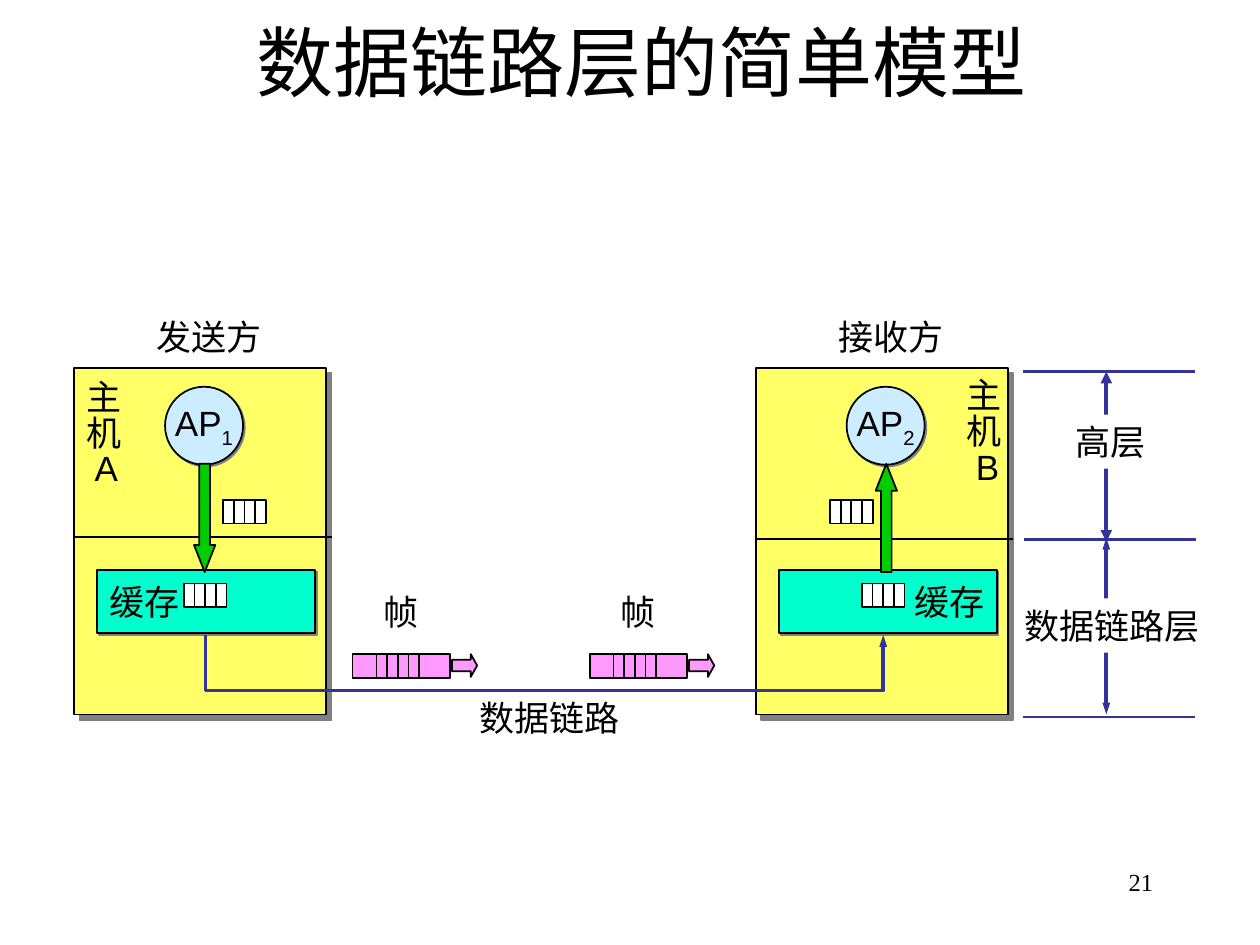
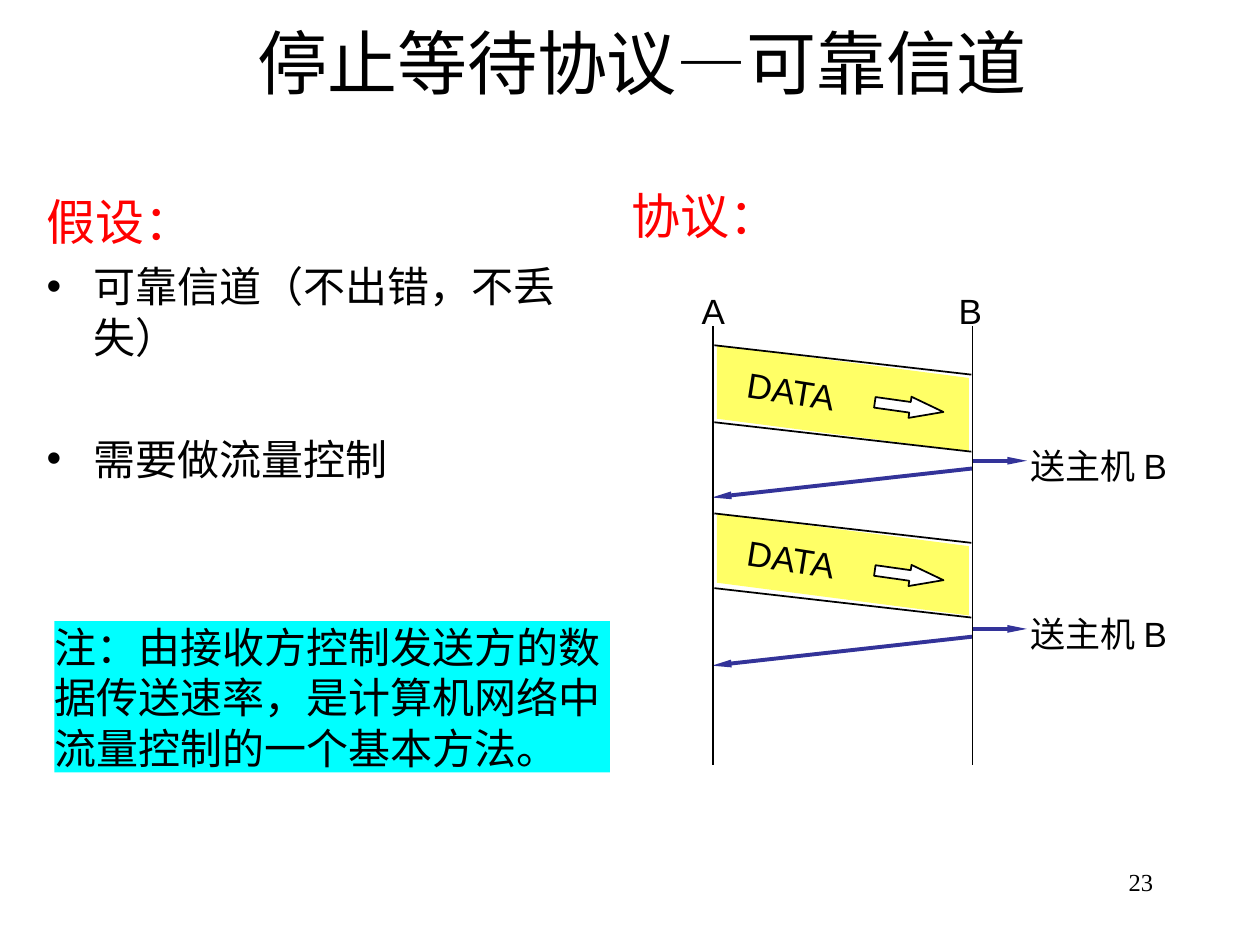
import pptx
import pptx.util
import pptx.dml.color
import pptx.enum.shapes
import pptx.enum.text
import pptx.oxml.ns
import lxml.etree

Pt = pptx.util.Pt
RGB = pptx.dml.color.RGBColor.from_string
SHAPE = pptx.enum.shapes.MSO_SHAPE
ALIGN = pptx.enum.text.PP_ALIGN
ANCHOR = pptx.enum.text.MSO_ANCHOR
FIT = pptx.enum.text.MSO_AUTO_SIZE
qn = pptx.oxml.ns.qn

COLORS = {
    "black": "000000",
    "white": "FFFFFF",
    "host": "FFFF66",
    "buffer": "00FFCC",
    "process": "CCECFF",
    "flow": "00CC00",
    "frame": "FF99FF",
    "link": "333399",
    "shadow": "808080",
    "heading": "FF0000",
    "note": "00FFFF",
}
SERIF = "Times New Roman"


def draw(shapes, kind, box, fill=None, outline=False, shadow=0, text=(), size=20,
         font="Arial", color="black", align=ALIGN.LEFT, anchor=ANCHOR.TOP,
         inset=(7.2, 3.6), wrap=False, grow=True, spacing=None):
    box = [Pt(value) for value in box]
    part = shapes.add_textbox(*box) if kind is None else shapes.add_shape(kind, *box)
    part.shadow.inherit = False
    if shadow:
        effects = part.fill._xPr.find(qn("a:effectLst"))
        outer = lxml.etree.SubElement(effects, qn("a:outerShdw"), blurRad="0",
                                      dist=str(Pt(shadow)), dir="2700000", algn="ctr", rotWithShape="0")
        lxml.etree.SubElement(outer, qn("a:srgbClr"), val=COLORS["shadow"])
    if fill:
        part.fill.solid()
        part.fill.fore_color.rgb = RGB(COLORS[fill])
    else:
        part.fill.background()
    if outline:
        part.line.color.rgb = RGB(COLORS["black"])
        part.line.width = Pt(1)
    else:
        part.line.fill.background()
    if text:
        frame = part.text_frame
        frame.margin_left = frame.margin_right = Pt(inset[0])
        frame.margin_top = frame.margin_bottom = Pt(inset[1])
        frame.word_wrap = wrap
        frame.auto_size = FIT.SHAPE_TO_FIT_TEXT if grow else FIT.NONE
        frame.vertical_anchor = anchor
        for row, words in enumerate(text):
            paragraph = frame.add_paragraph() if row else frame.paragraphs[0]
            paragraph.alignment = align
            if spacing:
                paragraph.line_spacing = spacing
            for level, piece in enumerate(words.split("_")):
                run = paragraph.add_run()
                run.text = piece
                run.font.size = Pt(size)
                run.font.name = font
                run.font.color.rgb = RGB(COLORS[color])
                if level:
                    run._r.get_or_add_rPr().set("baseline", "-25000")
    return part


def rule(shapes, x1, y1, x2, y2, color="black", width=1, ends=(), head=("med", "med")):
    line = shapes.add_connector(pptx.enum.shapes.MSO_CONNECTOR.STRAIGHT, Pt(x1), Pt(y1), Pt(x2), Pt(y2))
    line.line.color.rgb = RGB(COLORS[color])
    line.line.width = Pt(width)
    properties = line._element.spPr
    lxml.etree.SubElement(properties, qn("a:effectLst"))
    for end in ends:
        lxml.etree.SubElement(properties.find(qn("a:ln")), qn(end), type="triangle", w=head[0], len=head[1])
    return line


deck = pptx.Presentation()
deck.slide_width, deck.slide_height = Pt(720), Pt(540)

pages = []
for layout, heading, size, number in ((5, "数据链路层的简单模型", 44, "21"),
                                      (1, "停止等待协议—可靠信道", 40, "23")):
    page = deck.slides.add_slide(deck.slide_layouts[layout])
    title = page.shapes.title
    title.left, title.top, title.width, title.height = Pt(25.2), Pt(9.4), Pt(683.3), Pt(51)
    title.text_frame.auto_size = FIT.NONE
    title.text_frame.vertical_anchor = ANCHOR.MIDDLE
    paragraph = title.text_frame.paragraphs[0]
    paragraph.alignment = ALIGN.CENTER
    run = paragraph.add_run()
    run.text = heading
    run.font.size = Pt(size)
    run.font.name = SERIF
    run.font.color.rgb = RGB(COLORS["black"])
    draw(page.shapes, None, (516.2, 491.8, 149.8, 36), text=(number,), size=14, font=SERIF,
         align=ALIGN.RIGHT, wrap=True, grow=False)
    pages.append(page)

model, protocol = pages

shapes = model.shapes
rule(shapes, 632.2, 307.4, 632.2, 408.2, "link", 2.25, ("a:headEnd", "a:tailEnd"), ("sm", "med"))
rule(shapes, 632.2, 212.4, 632.2, 309.6, "link", 2.25, ("a:headEnd", "a:tailEnd"))
for layer, left, top, width in (("数据链路层", 578.2, 342, 114.5), ("高层", 607.7, 236.9, 54.7)):
    draw(shapes, None, (left, top, width, 31), "white", text=(layer,))
for left, y in ((585.4, 308.2), (584.6, 212.4), (584.6, 409.7)):
    rule(shapes, left, y, left + 98, y, "link", 1.5)

for left, letter, process, role, name_left, name_top, border, side, arrow in (
        (42.5, "A", "AP_1", "发送方", 42.5, 214.6, 306.7, ALIGN.LEFT, SHAPE.DOWN_ARROW),
        (432, "B", "AP_2", "接收方", 545, 213.8, 308.2, ALIGN.RIGHT, SHAPE.UP_ARROW)):
    draw(shapes, SHAPE.RECTANGLE, (left, 210.3, 144, 198), "host", True, 4.2)
    draw(shapes, None, (name_left, name_top, 34.6, 68.4), text=("主", "机", " " + letter), spacing=0.85)
    rule(shapes, left, border, left + 147, border)
    draw(shapes, None, (left + 40, 176.6, 80, 31), text=(role,))
    draw(shapes, SHAPE.RECTANGLE, (left + 13, 325.6, 124.6, 36.3), "buffer", True, 1.4,
         ("缓存",), align=side, anchor=ANCHOR.MIDDLE, grow=False)
    draw(shapes, SHAPE.OVAL, (left + 51.8, 221, 44.6, 44.6), "process", True, 1.4,
         (process,), align=ALIGN.CENTER, anchor=ANCHOR.MIDDLE, grow=False)
    flow = draw(shapes, arrow, (left + 68.4, 265, 12.2, 61.9), "flow", True)
    flow.adjustments[0], flow.adjustments[1] = 0.5, 1.27

for left, top, fill in ((105, 333.4, "white"), (127.5, 285.6, "white"), (474.3, 285.6, "white"),
                        (492.5, 333.4, "white"), (215.1, 373.8, "frame"), (350.6, 373.8, "frame")):
    group = shapes.add_group_shape().shapes
    if fill == "frame":
        draw(group, SHAPE.RECTANGLE, (left - 13.6, top, 55.6, 13.6), fill, True)
        heading_right = draw(group, SHAPE.RIGHT_ARROW, (left + 43.2, top, 14.4, 13), fill, True)
        heading_right.adjustments[0], heading_right.adjustments[1] = 0.5, 0.28
        draw(shapes, None, (left - 3.2, 334.1, 34.6, 31), text=("帧",))
    packet = draw(group, SHAPE.RECTANGLE, (left, top, 24.4, 13.6), fill, True)
    for quarter in (1, 2, 3):
        x = left + quarter * 6.1
        divider = rule(group, x, top, x, top + 13.6)
        if quarter == 2:
            divider.begin_connect(packet, 0)
            divider.end_connect(packet, 2)

route = shapes.build_freeform(Pt(117.4), Pt(362.9), scale=1)
route.add_line_segments([(Pt(x), Pt(y)) for x, y in ((117.4, 394.6), (504.7, 394.6), (504.7, 362.9))], close=False)
link = route.convert_to_shape()
link.shadow.inherit = False
link.fill.background()
link.line.color.rgb = RGB(COLORS["link"])
link.line.width = Pt(2.25)
lxml.etree.SubElement(link._element.spPr.find(qn("a:ln")), qn("a:tailEnd"), type="triangle", w="sm", len="med")
draw(shapes, None, (267.1, 394.6, 96, 31), text=("数据链路",))

shapes = protocol.shapes
assumptions = protocol.placeholders[1]
assumptions.left, assumptions.top, assumptions.width, assumptions.height = Pt(19.4), Pt(105.8), Pt(317.5), Pt(193)
frame = assumptions.text_frame
frame.auto_size = FIT.NONE
for row, (words, size, color, before) in enumerate((("假设：", 28, "heading", 7),
                                                  ("可靠信道（不出错，不丢失）", 24, "black", 6),
                                                  ("需要做流量控制", 24, "black", 41))):
    paragraph = frame.add_paragraph() if row else frame.paragraphs[0]
    paragraph.space_before = Pt(before)
    if color == "heading":
        lxml.etree.SubElement(paragraph._p.get_or_add_pPr(), qn("a:buNone"))
    run = paragraph.add_run()
    run.text = words
    run.font.size = Pt(size)
    run.font.name = SERIF
    run.font.color.rgb = RGB(COLORS[color])

for top, gap, depth in ((197.3, 44, 42), (293.4, 42.7, 39.6)):
    outline = shapes.build_freeform(Pt(409.7), Pt(top), scale=1)
    outline.add_line_segments([(Pt(x), Pt(y)) for x, y in (
        (553.7, top + 18.7), (553.7, top + 18.7 + depth), (409.7, top + depth))])
    band = outline.convert_to_shape()
    band.shadow.inherit = False
    band.fill.solid()
    band.fill.fore_color.rgb = RGB(COLORS["host"])
    band.line.fill.background()
    for edge in (top, top + gap):
        rule(shapes, 408.2, edge, 555.1, edge + 16.8)
    direction = draw(shapes, SHAPE.RIGHT_ARROW, (499.7, top + 29.3, 39.6, 12.2), "white", True)
    direction.adjustments[0], direction.adjustments[1] = 0.5, 1.58
    direction.rotation = 8
    draw(shapes, None, (419.8, top + 10.6, 67.7, 31), text=("DATA",)).rotation = 9
    rule(shapes, 555.8, top + 66, 586.8, top + 66, "link", 2.25, ("a:tailEnd",), ("sm", "lg"))
    draw(shapes, None, (581.8, top + 53.1, 97.2, 31), text=("送主机 B",))
    rule(shapes, 555.8, top + 70.4, 406.8, top + 87, "link", 2.25, ("a:tailEnd",), ("sm", "lg"))

for host, x, left in (("A", 407.5, 393.8), ("B", 555.8, 540.7)):
    rule(shapes, x, 186.5, x, 437)
    draw(shapes, None, (left, 162, 27.4, 31), text=(host,))

draw(shapes, None, (360.7, 105.8, 84.2, 33.8), text=("协议：",), size=28, font=SERIF,
     color="heading", align=ALIGN.CENTER, inset=(0, 0))
draw(shapes, None, (31, 355, 317.5, 86.4), "note", size=24, font=SERIF, inset=(0, 0), wrap=True,
     text=("注：由接收方控制发送方的数据传送速率，是计算机网络中流量控制的一个基本方法。",))

deck.save("out.pptx")
